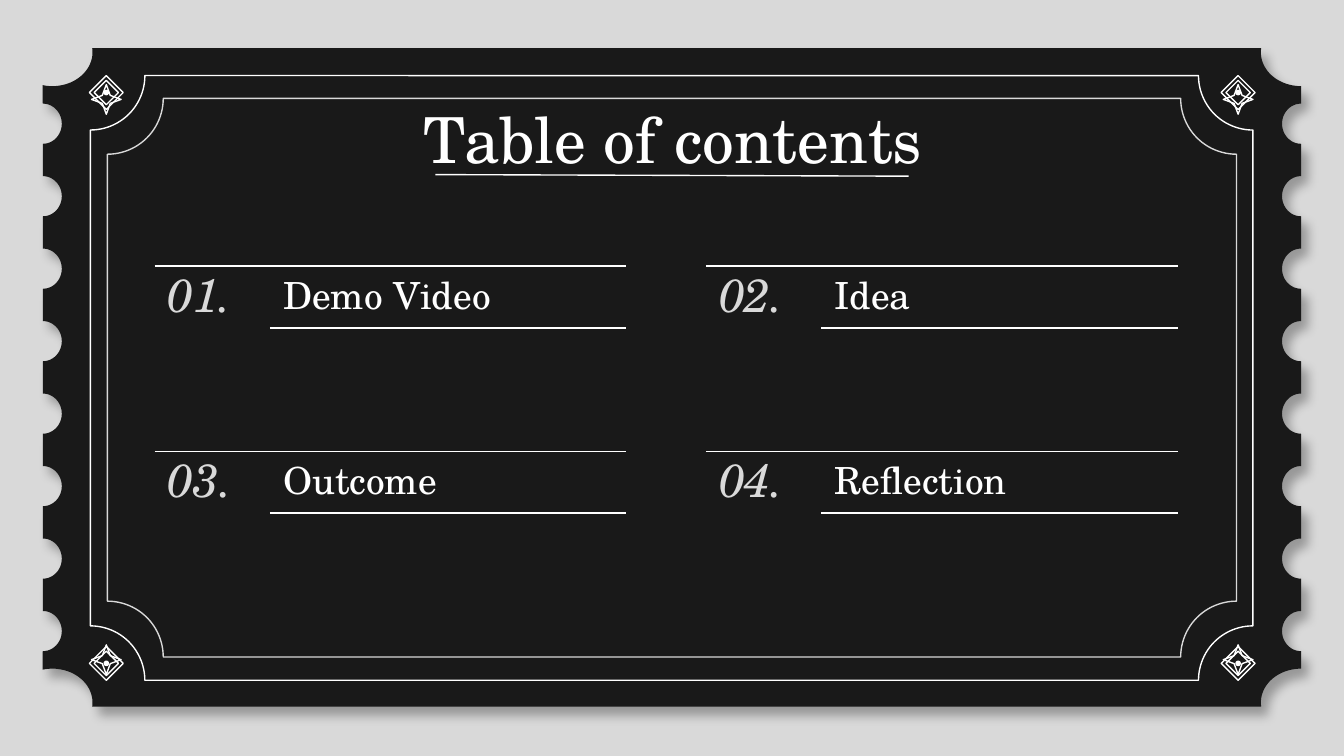
"""Build a ticket-styled table of contents slide."""
import math
from dataclasses import dataclass
from typing import Any, Optional

import lxml.etree
import pptx
import pptx.dml.color
import pptx.enum.shapes
import pptx.enum.text
import pptx.oxml.ns
import pptx.shapes.autoshape
import pptx.shapes.base
import pptx.slide
import pptx.util

Cm = pptx.util.Cm
Kind = pptx.enum.shapes.MSO_SHAPE
Align = pptx.enum.text.PP_ALIGN
qn = pptx.oxml.ns.qn

COLORS = {"paper": "D9D9D9", "ticket": "191919", "white": "FFFFFF", "shadow": "000000"}
FONT = "TeX Gyre Schola"
FRAME_FORMAT = {
    "word_wrap": True,
    "auto_size": pptx.enum.text.MSO_AUTO_SIZE.NONE,
    "vertical_anchor": pptx.enum.text.MSO_ANCHOR.MIDDLE,
    **{f"margin_{side}": Cm(0.25) for side in ("left", "right", "top", "bottom")},
}
PARAGRAPH_FORMAT = {"space_before": pptx.util.Pt(0), "line_spacing": 1.0}

LEFT, RIGHT, TOP, BOTTOM = 0.81, 24.59, 0.91, 13.36
NOTCH_RADII = (0.36, 0.38)
NOTCH_CENTERS = [2.34 + 1.37 * index for index in range(8)]
CORNER_RADII = (0.76, 0.64)
CORNER_X = (0.99, 24.59)
CORNER_Y = (0.99, 13.28)


@dataclass
class Box:
    """A rectangle in centimetres."""

    left: float
    top: float
    width: float
    height: float

    def lengths(self) -> tuple:
        """Return the four lengths as slide units."""
        return Cm(self.left), Cm(self.top), Cm(self.width), Cm(self.height)


@dataclass
class Entry:
    """One numbered line of the contents."""

    number: str
    heading: str
    left: float
    top: float


@dataclass
class Ornament:
    """One symbol of a corner ornament."""

    kind: Any
    size: float
    adjustment: Optional[float] = None
    filled: bool = False


TITLE = Box(2.01, 1.93, 21.41, 1.37)
COLUMNS = (2.92, 13.34)
ROWS = (5.03, 8.53)
ENTRIES = [
    Entry("01.", "Demo Video", COLUMNS[0], ROWS[0]),
    Entry("02.", "Idea", COLUMNS[1], ROWS[0]),
    Entry("03.", "Outcome", COLUMNS[0], ROWS[1]),
    Entry("04.", "Reflection", COLUMNS[1], ROWS[1]),
]
NUMBER_WIDTH, ENTRY_WIDTH = 2.18, 8.92
STAR = Ornament(Kind.STAR_4_POINT, 0.56, 0.19)
DIAMONDS = [
    Ornament(Kind.DIAMOND, 0.64),
    Ornament(Kind.DIAMOND, 0.46),
    Ornament(Kind.OVAL, 0.08, filled=True),
]
ORNAMENT_X = (2.01, 23.4)
ORNAMENT_ROWS = ((1.75, 1.88), (12.54, 12.47))


def rgb(name: str) -> pptx.dml.color.RGBColor:
    """Return a named colour."""
    return pptx.dml.color.RGBColor.from_string(COLORS[name])


def apply(target: Any, values: dict) -> None:
    """Set every attribute in the dict on the target."""
    for name, value in values.items():
        setattr(target, name, value)


def arc(x: float, y: float, radii: tuple, start: int, end: int) -> list:
    """Return points along an elliptical arc, in slide units."""
    steps = 24
    angles = [math.radians(start + (end - start) * step / steps) for step in range(steps + 1)]
    return [(Cm(x + radii[0] * math.cos(a)), Cm(y + radii[1] * math.sin(a))) for a in angles]


def add_ticket(slide: pptx.slide.Slide) -> None:
    """Draw the notched ticket with its soft shadow."""
    points = arc(CORNER_X[0], CORNER_Y[0], CORNER_RADII, -7, 104)
    for y in NOTCH_CENTERS:
        points += arc(LEFT, y, NOTCH_RADII, -90, 90)
    points += arc(CORNER_X[0], CORNER_Y[1], CORNER_RADII, -104, 7)
    points += arc(CORNER_X[1], CORNER_Y[1], CORNER_RADII, 173, 270)
    for y in reversed(NOTCH_CENTERS):
        points += arc(RIGHT, y, NOTCH_RADII, 90, 270)
    points += arc(CORNER_X[1], CORNER_Y[0], CORNER_RADII, 90, 187)
    builder = slide.shapes.build_freeform(*points[0])
    builder.add_line_segments(points[1:], close=True)
    ticket = builder.convert_to_shape()
    ticket.fill.solid()
    ticket.fill.fore_color.rgb = rgb("ticket")
    ticket.line.fill.background()
    ticket.shadow.inherit = False
    effects = ticket.element.spPr.find(qn("a:effectLst"))
    shadow = lxml.etree.SubElement(
        effects, qn("a:outerShdw"), blurRad=str(pptx.util.Pt(5.6)),
        dist=str(pptx.util.Pt(6)), dir=str(50 * 60000), algn="bl", rotWithShape="0")
    color = lxml.etree.SubElement(shadow, qn("a:srgbClr"), val=COLORS["shadow"])
    lxml.etree.SubElement(color, qn("a:alpha"), val="30000")


def add_outline(slide: pptx.slide.Slide, kind: Any, box: Box, color: str = "white",
                adjustment: Optional[float] = None, filled: bool = False) -> None:
    """Draw a thinly outlined preset shape."""
    shape = slide.shapes.add_shape(kind, *box.lengths())
    shape.shadow.inherit = False
    if adjustment is not None:
        shape.adjustments[0] = adjustment
    if filled:
        shape.fill.solid()
        shape.fill.fore_color.rgb = rgb(color)
    else:
        shape.fill.background()
    shape.line.color.rgb = rgb(color)
    shape.line.width = pptx.util.Pt(0.75)


def add_ornament(slide: pptx.slide.Slide, ornament: Ornament, x: float, y: float) -> None:
    """Draw an ornament symbol centred on a point."""
    size = ornament.size
    add_outline(slide, ornament.kind, Box(x - size / 2, y - size / 2, size, size),
                adjustment=ornament.adjustment, filled=ornament.filled)


def add_rule(slide: pptx.slide.Slide, left: float, top: float, right: float, bottom: float) -> None:
    """Draw a thin white line."""
    rule = slide.shapes.add_connector(
        pptx.enum.shapes.MSO_CONNECTOR.STRAIGHT, Cm(left), Cm(top), Cm(right), Cm(bottom))
    rule.line.color.rgb = rgb("white")
    rule.line.width = pptx.util.Pt(0.75)
    lxml.etree.SubElement(rule.element.spPr, qn("a:effectLst"))


def write(shape: pptx.shapes.base.BaseShape, box: Box, text: str, size: int,
          color: str = "white", align: Any = Align.LEFT, italic: bool = False) -> None:
    """Place a text shape in front and fill it with one formatted paragraph."""
    shape.element.getparent().append(shape.element)
    apply(shape, dict(zip(("left", "top", "width", "height"), box.lengths())))
    frame = shape.text_frame
    frame.text = text
    apply(frame, FRAME_FORMAT)
    paragraph = frame.paragraphs[0]
    apply(paragraph, {**PARAGRAPH_FORMAT, "alignment": align})
    properties = paragraph._p.get_or_add_pPr()
    properties.set("marL", "0")
    properties.set("indent", "0")
    lxml.etree.SubElement(properties, qn("a:buNone"))
    font = paragraph.runs[0].font
    apply(font, {"name": FONT, "size": pptx.util.Pt(size), "bold": False, "italic": italic})
    font.color.rgb = rgb(color)


def add_entry(slide: pptx.slide.Slide, entry: Entry, heading: pptx.shapes.base.BaseShape) -> None:
    """Draw a number, its heading and the two rules around them."""
    text_top, text_height = entry.top + 0.1, 0.86
    heading_left, right = entry.left + NUMBER_WIDTH, entry.left + ENTRY_WIDTH
    number_box = Box(entry.left, text_top, NUMBER_WIDTH, text_height)
    number = slide.shapes.add_textbox(*number_box.lengths())
    write(number, number_box, entry.number, 25, "paper", italic=True)
    write(heading, Box(heading_left, text_top, right - heading_left, text_height), entry.heading, 20)
    add_rule(slide, entry.left, entry.top, right, entry.top)
    add_rule(slide, heading_left, entry.top + 1.17, right, entry.top + 1.17)


def main() -> None:
    """Build and save the presentation."""
    presentation = pptx.Presentation()
    presentation.slide_width, presentation.slide_height = Cm(25.4), Cm(14.29)
    slide = presentation.slides.add_slide(presentation.slide_layouts.get_by_name("Comparison"))
    slide.background.fill.solid()
    slide.background.fill.fore_color.rgb = rgb("paper")
    title, *headings = list(slide.placeholders)

    add_ticket(slide)
    add_outline(slide, Kind.PLAQUE, Box(1.71, 1.43, 21.97, 11.43), adjustment=0.09)
    add_outline(slide, Kind.PLAQUE, Box(2.03, 1.86, 21.34, 10.56), "paper", 0.1)
    write(title, TITLE, "Table of contents", 34, align=Align.CENTER)
    add_rule(slide, 8.23, 3.3, 17.17, 3.33)
    for entry, heading in zip(ENTRIES, headings):
        add_entry(slide, entry, heading)
    for x in ORNAMENT_X:
        for diamond_y, star_y in ORNAMENT_ROWS:
            add_ornament(slide, STAR, x, star_y)
            for diamond in DIAMONDS:
                add_ornament(slide, diamond, x, diamond_y)
    presentation.save("out.pptx")


if __name__ == "__main__":
    main()
